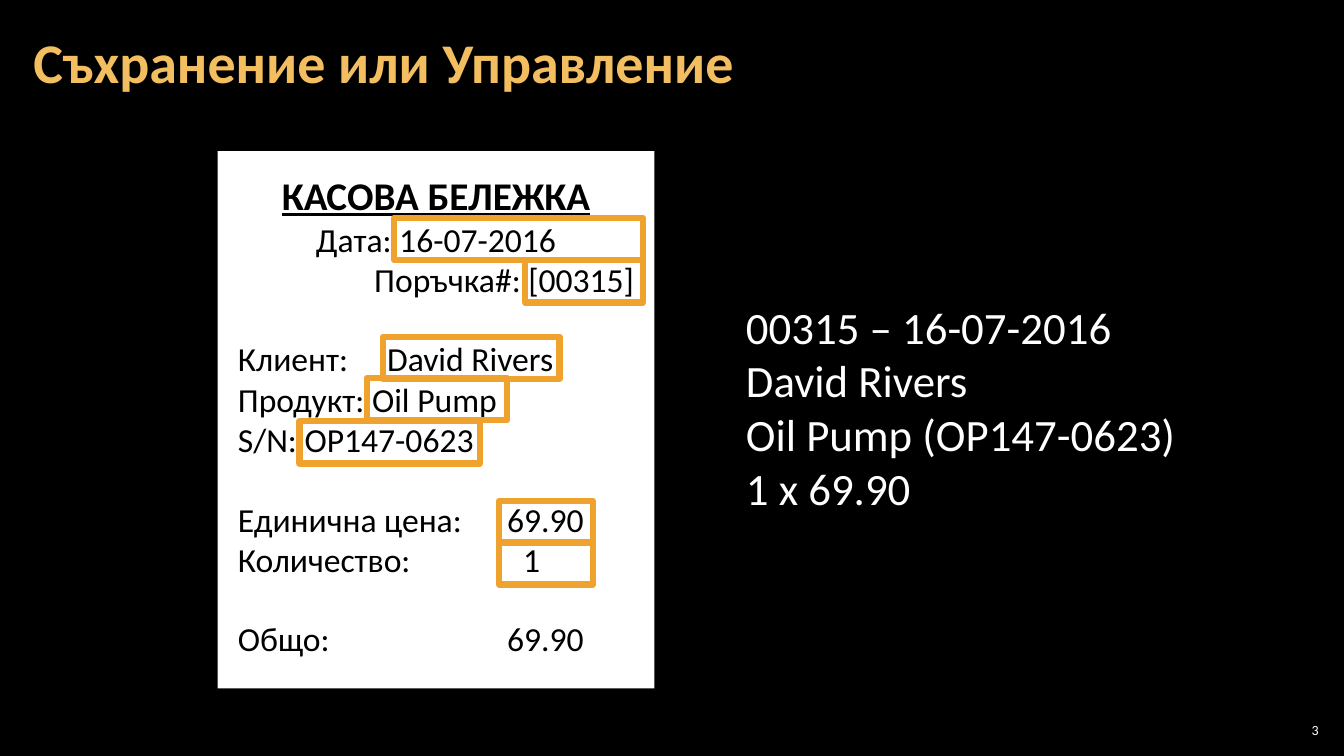
from lxml import etree
from pptx import Presentation
from pptx import util as u
from pptx.dml.color import RGBColor
from pptx.enum import shapes, text
from pptx.oxml.ns import qn

BLACK = RGBColor(0x00, 0x00, 0x00)
WHITE = RGBColor(0xFF, 0xFF, 0xFF)
GOLD = RGBColor(0xF3, 0xBE, 0x60)
ORANGE = RGBColor(0xF0, 0xA2, 0x2E)
LEFT, CENTER, RIGHT = text.PP_ALIGN.LEFT, text.PP_ALIGN.CENTER, text.PP_ALIGN.RIGHT
TOP, MIDDLE = text.MSO_ANCHOR.TOP, text.MSO_ANCHOR.MIDDLE


def set_frame(frame, anchor, side, edge):
    """Wrap the text and set its anchor, side margins and top/bottom margins."""
    values = dict(word_wrap=True, auto_size=text.MSO_AUTO_SIZE.NONE, vertical_anchor=anchor,
                  margin_left=u.Inches(side), margin_right=u.Inches(side),
                  margin_top=u.Inches(edge), margin_bottom=u.Inches(edge))
    for name, value in values.items():
        setattr(frame, name, value)


def write(para, words, size, color, align=LEFT, **extra):
    para.alignment = align
    span = para.add_run()
    span.text = words
    span.font.color.rgb = color
    for name, value in dict(name="Calibri", size=u.Pt(size), **extra).items():
        setattr(span.font, name, value)


deck = Presentation()
deck.slide_width, deck.slide_height = u.Inches(13.33), u.Inches(7.5)
page = deck.slides.add_slide(deck.slide_layouts[5])
page.background.fill.solid()
page.background.fill.fore_color.rgb = BLACK

title = page.shapes.title
title.left, title.top = u.Inches(0.21), u.Inches(0.04)
title.width, title.height = u.Inches(10.47), u.Inches(1.21)
set_frame(title.text_frame, MIDDLE, 0.12, 0.04)
heading = title.text_frame.paragraphs[0]
heading.line_spacing = 0.9
write(heading, "Съхранение или Управление", 40, GOLD, bold=True)

number = page.shapes.add_textbox(u.Inches(12.65), u.Inches(7.14), u.Inches(0.47), u.Inches(0.21))
set_frame(number.text_frame, MIDDLE, 0.04, 0.04)
write(number.text_frame.paragraphs[0], "3", 10, WHITE, RIGHT)

receipt = page.shapes.add_shape(shapes.MSO_SHAPE.RECTANGLE, u.Inches(2.16), u.Inches(1.5),
                                u.Inches(4.33), u.Inches(5.33))
receipt.shadow.inherit = False
receipt.fill.solid()
receipt.fill.fore_color.rgb = WHITE
receipt.line.fill.background()
set_frame(receipt.text_frame, TOP, 0.2, 0.2)
write(receipt.text_frame.paragraphs[0], "КАСОВА БЕЛЕЖКА", 28, BLACK, CENTER,
      bold=True, underline=True)

# Words, alignment, tab stop in inches, whether the line starts a new group
receipt_lines = [
    ("Дата: 16-07-2016", CENTER, None, False),
    ("Поръчка#: [00315]", RIGHT, None, False),
    ("Клиент:\tDavid Rivers", LEFT, 1.48, True),
    ("Продукт: Oil Pump", LEFT, None, False),
    ("S/N: OP147-0623", LEFT, None, False),
    ("Единична цена:\t69.90", LEFT, 2.67, True),
    ("Количество:\t1", LEFT, 2.83, False),
    ("Общо:\t69.90", LEFT, 2.67, True),
]
for words, align, stop, new_group in receipt_lines:
    para = receipt.text_frame.add_paragraph()
    if stop:
        tabs = etree.SubElement(para._p.get_or_add_pPr(), qn("a:tabLst"))
        etree.SubElement(tabs, qn("a:tab"), pos=str(u.Inches(stop)), algn="l")
    if new_group:
        para.space_before = u.Pt(28)
    write(para, words, 24, BLACK, align)

summary = page.shapes.add_textbox(u.Inches(7.3), u.Inches(2.92), u.Inches(4.92), u.Inches(2.26))
set_frame(summary.text_frame, TOP, 0.1, 0.05)
summary_lines = ["00315 – 16-07-2016", "David Rivers", "Oil Pump (OP147-0623)", "1 x 69.90"]
for index, words in enumerate(summary_lines):
    frame = summary.text_frame
    write(frame.add_paragraph() if index else frame.paragraphs[0], words, 32, WHITE)

# Left, top and width of the frame around each stored value
value_frames = [
    (3.91, 2.16, 2.47),
    (5.21, 2.58, 1.17),
    (3.8, 3.34, 1.75),
    (3.64, 3.75, 1.39),
    (2.97, 4.18, 1.79),
    (4.95, 4.97, 0.93),
    (4.95, 5.38, 0.93),
]
for left, top, width in value_frames:
    box = page.shapes.add_shape(shapes.MSO_SHAPE.RECTANGLE, u.Inches(left), u.Inches(top),
                                u.Inches(width), u.Inches(0.42))
    box.shadow.inherit = False
    box.fill.background()
    box.line.color.rgb = ORANGE
    box.line.width = u.Pt(4.5)

deck.save("out.pptx")
